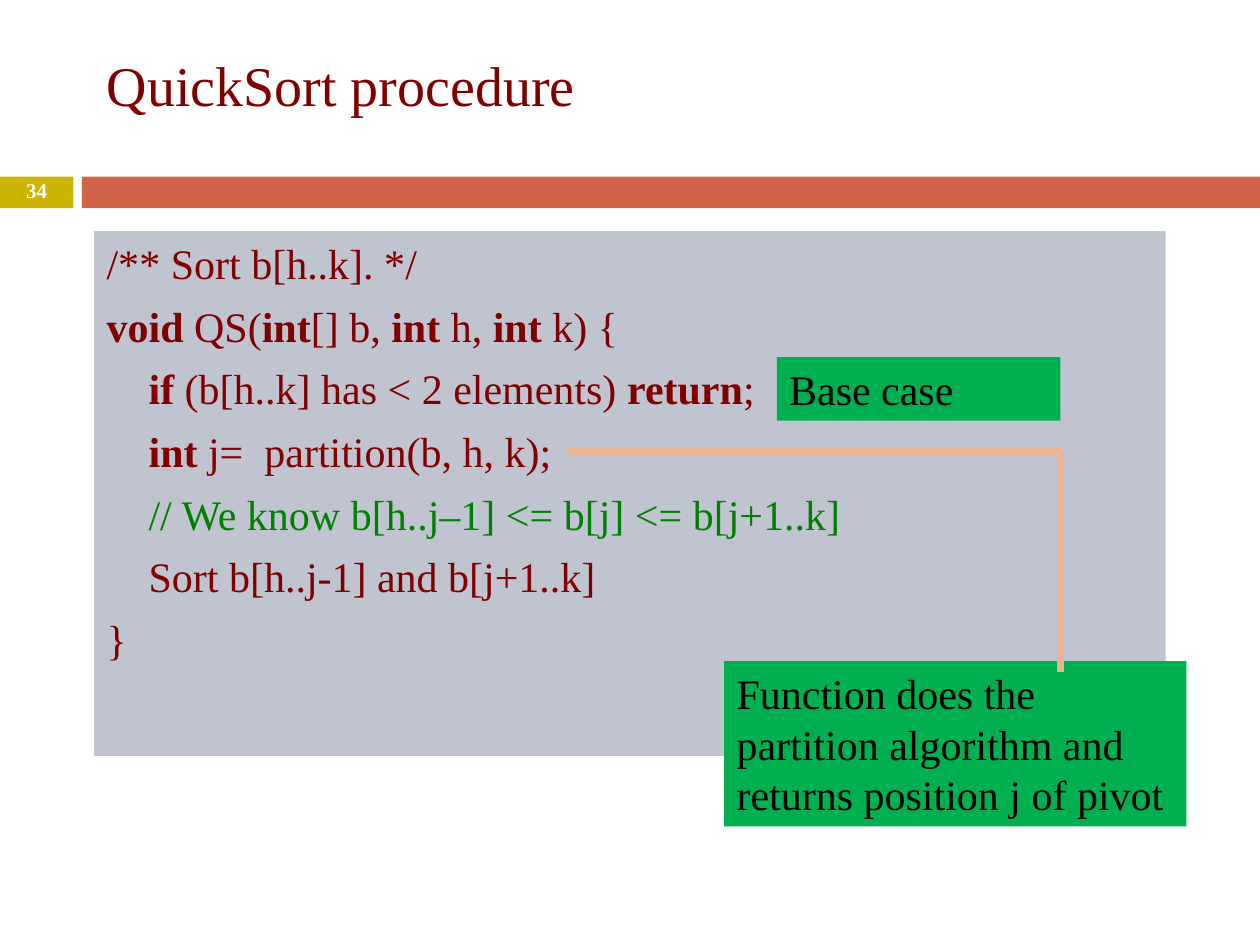
"""Build the QuickSort procedure slide."""
from lxml import etree
from pptx import Presentation
from pptx.dml.color import RGBColor
from pptx.enum.shapes import MSO_CONNECTOR as Connector, MSO_SHAPE as Shape
from pptx.enum.text import MSO_ANCHOR as Anchor, PP_ALIGN as Align
from pptx.oxml.ns import qn
from pptx.util import Cm, Pt

FONT = "Times New Roman"
MAROON, GREEN, BLACK, WHITE = "800000", "008000", "000000", "FFFFFF"
GOLD, RUST, CODE_FILL, CALLOUT_FILL, LINE = "CCB400", "D16349", "C0C3D0", "00B050", "EBB391"
INDENT = "    "
KEYWORDS = {"void", "int", "if", "return"}

TITLE = "QuickSort procedure"
PAGE_NUMBER = "34"
CODE = [
    (["/** Sort b[h..k]. */"], MAROON),
    (["void", " QS(", "int", "[] b, ", "int", " h, ", "int", " k) {"], MAROON),
    ([INDENT, "if", " (b[h..k] has < 2 elements) ", "return", ";"], MAROON),
    ([INDENT, "int", " j=  partition(b, h, k);"], MAROON),
    ([INDENT, "// We know b[h..j–1] <= b[j] <= b[j+1..k]"], GREEN),
    ([INDENT, "Sort b[h..j-1] and b[j+1..k]"], MAROON),
    (["}"], MAROON),
]
CALLOUTS = [
    ("Base case", (15.66, 7.2, 5.72, 1.28)),
    ("Function does the partition algorithm and returns position j of pivot",
     (14.6, 13.33, 9.32, 3.33)),
]
BARS = [(GOLD, (0, 3.56, 1.48, 0.64)), (RUST, (1.65, 3.56, 23.75, 0.64))]
CORNER = (21.38, 9.1)
LINE_STARTS = [(21.38, 13.55), (11.43, 9.1)]


def color(value):
    return RGBColor.from_string(value)


def add_box(slide, place, fill):
    shape = slide.shapes.add_shape(Shape.RECTANGLE, *map(Cm, place))
    shape.shadow.inherit = False
    shape.fill.solid()
    shape.fill.fore_color.rgb = color(fill)
    shape.line.fill.background()
    return shape


def set_frame(shape, anchor, right=0.25):
    frame = shape.text_frame
    frame.word_wrap = True
    frame.vertical_anchor = anchor
    frame.margin_left, frame.margin_right = Cm(0.25), Cm(right)
    frame.margin_top = frame.margin_bottom = Cm(0.13)
    return frame


def style(font, size, value, bold=False):
    font.name, font.size, font.bold = FONT, Pt(size), bold
    font.color.rgb = color(value)


def add_label(shape, text, size, value, anchor, align=Align.LEFT, bold=False, right=0.25):
    frame = set_frame(shape, anchor, right)
    frame.text = text
    paragraph = frame.paragraphs[0]
    paragraph.alignment = align
    style(paragraph.runs[0].font, size, value, bold)
    return paragraph


def add_code(slide):
    frame = set_frame(add_box(slide, (1.9, 4.66, 21.6, 10.58), CODE_FILL), Anchor.TOP, 0.36)
    for index, (parts, value) in enumerate(CODE):
        paragraph = frame.add_paragraph() if index else frame.paragraphs[0]
        paragraph.alignment = Align.LEFT
        paragraph.space_before = Pt(7 if index else 0)
        for part in parts:
            run = paragraph.add_run()
            run.text = part
            style(run.font, 24, value, part in KEYWORDS)


def add_line(slide, start, end):
    line = slide.shapes.add_connector(Connector.STRAIGHT, *map(Cm, start + end))
    line.line.color.rgb = color(LINE)
    line.line.width = Pt(4.25)
    etree.SubElement(line._element.spPr, qn("a:effectLst"))


def main():
    presentation = Presentation()
    presentation.slide_width, presentation.slide_height = Cm(25.4), Cm(19.05)
    slide = presentation.slides.add_slide(presentation.slide_layouts[6])
    for fill, place in BARS:
        add_box(slide, place, fill)
    title = slide.shapes.add_textbox(*map(Cm, (1.9, 0.43, 21.6, 2.54)))
    add_label(title, TITLE, 32, MAROON, Anchor.MIDDLE, right=0.36)
    number = slide.shapes.add_textbox(*map(Cm, (0, 3.53, 1.48, 0.69)))
    paragraph = add_label(number, PAGE_NUMBER, 12, WHITE, Anchor.MIDDLE, Align.CENTER, True)
    paragraph.line_spacing = 0.8
    add_code(slide)
    for text, place in CALLOUTS:
        add_label(add_box(slide, place, CALLOUT_FILL), text, 24, BLACK, Anchor.TOP)
    for start in LINE_STARTS:
        add_line(slide, start, CORNER)
    presentation.save("out.pptx")


if __name__ == "__main__":
    main()
